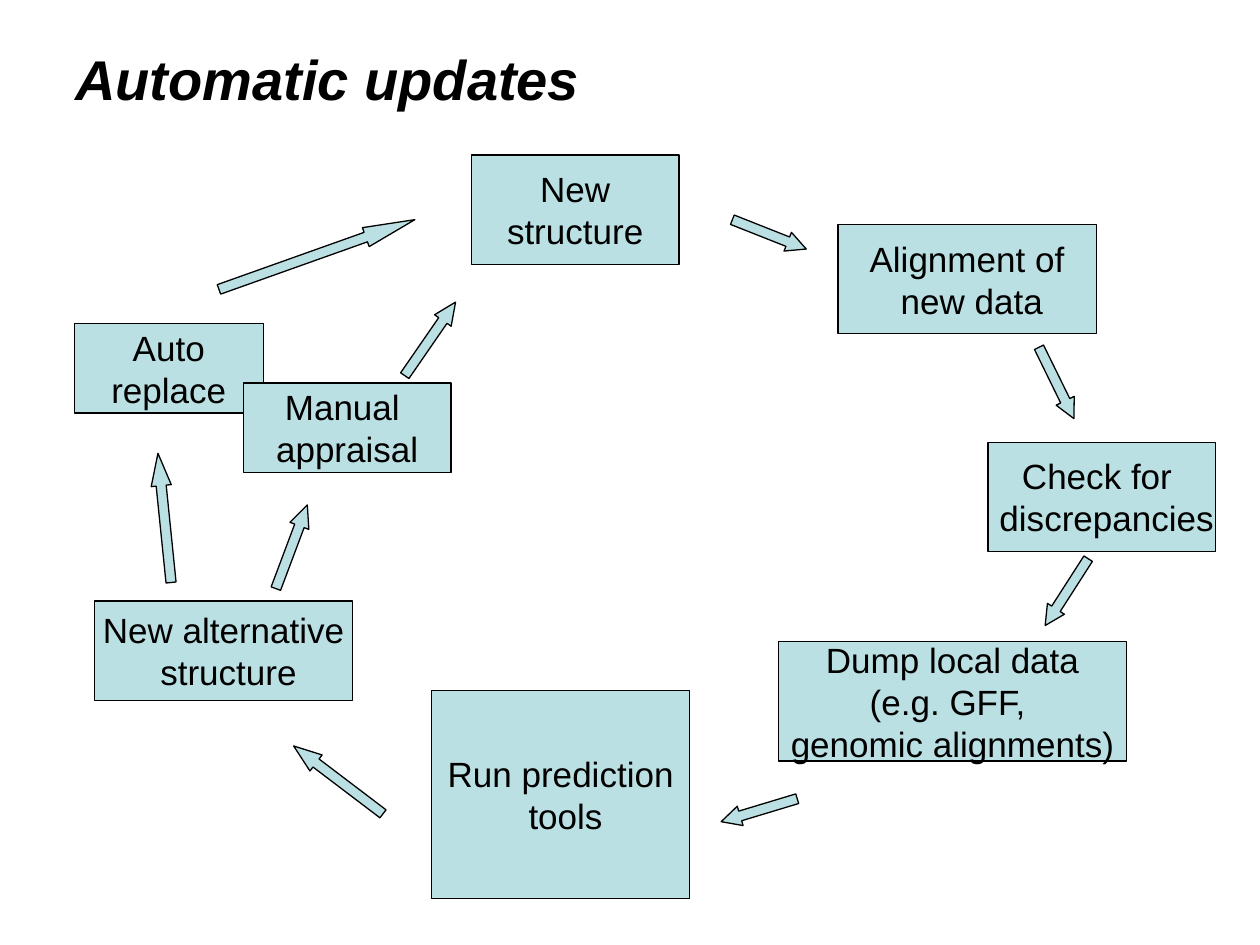
import pptx
import pptx.util
from pptx.dml.color import RGBColor
from pptx.enum.shapes import MSO_SHAPE
from pptx.enum.text import MSO_ANCHOR, PP_ALIGN

Pt = pptx.util.Pt

BLACK = RGBColor(0x00, 0x00, 0x00)
PALE_TEAL = RGBColor(0xBB, 0xE0, 0xE3)
FONT = "Arial"
ARROW_THICKNESS = 11.5

TITLE = "Automatic updates"

STEPS = [
    (["Alignment of", " new data"], 478.8, 128.2, 147.6, 62.6),
    (["Dump local data", "(e.g. GFF, ", "genomic alignments)"], 445, 366.5, 198.7, 68.4),
    (["Run prediction", " tools"], 246.6, 394.6, 147.6, 118.8),
    (["New alternative", " structure"], 54, 343.4, 147.6, 56.9),
    (["Auto", "replace"], 42.5, 185, 108, 51.1),
    (["Manual ", "appraisal"], 139, 218.9, 118.8, 51.1),
    (["Check for ", " discrepancies"], 564.5, 252.7, 130.3, 62.6),
    (["New", "structure"], 269.3, 88.6, 118.8, 62.6),
]

ARROWS = [
    (416.9, 128.2, 45.4, 21.6),
    (581, 213.1, 45.4, 63.9),
    (586.8, 332.6, 45.4, 122.7),
    (411.1, 457.2, 45.4, 163.2),
    (161.3, 439.9, 64.1, 217.2),
    (56.9, 290.2, 74.2, 264.2),
    (141.1, 306.7, 51.1, 290.6),
    (121.7, 139.7, 118.8, 340.4),
    (220.3, 187.9, 51.1, 304.6),
]


def write(sp, lines, size=20, bold=False, italic=False, align=PP_ALIGN.CENTER,
          anchor=MSO_ANCHOR.MIDDLE, wrap=False):
    tf = sp.text_frame
    tf.word_wrap = wrap
    tf.vertical_anchor = anchor
    for i, line in enumerate(lines):
        p = tf.paragraphs[0] if i == 0 else tf.add_paragraph()
        p.alignment = align
        r = p.add_run()
        r.text = line
        r.font.name = FONT
        r.font.size = Pt(size)
        r.font.bold = bold
        r.font.italic = italic
        r.font.color.rgb = BLACK


def add_filled(s, kind, x, y, w, h):
    sp = s.shapes.add_shape(kind, Pt(x), Pt(y), Pt(w), Pt(h))
    sp.shadow.inherit = False
    sp.fill.solid()
    sp.fill.fore_color.rgb = PALE_TEAL
    sp.line.color.rgb = BLACK
    sp.line.width = Pt(0.75)
    return sp


def main():
    prs = pptx.Presentation()
    prs.slide_width, prs.slide_height = Pt(720), Pt(540)
    s = prs.slides.add_slide(prs.slide_layouts[6])

    title = s.shapes.add_textbox(Pt(36), Pt(21.6), Pt(648), Pt(90))
    write(title, [TITLE], size=32, bold=True, italic=True,
          align=PP_ALIGN.LEFT, anchor=MSO_ANCHOR.TOP, wrap=True)

    for lines, x, y, w, h in STEPS:
        write(add_filled(s, MSO_SHAPE.RECTANGLE, x, y, w, h), lines)

    for x, y, length, angle in ARROWS:
        arrow = add_filled(s, MSO_SHAPE.RIGHT_ARROW, x, y, length, ARROW_THICKNESS)
        arrow.rotation = angle
        arrow.adjustments[0] = 0.5
        arrow.adjustments[1] = length / (4 * ARROW_THICKNESS)

    prs.save("out.pptx")


if __name__ == "__main__":
    main()
